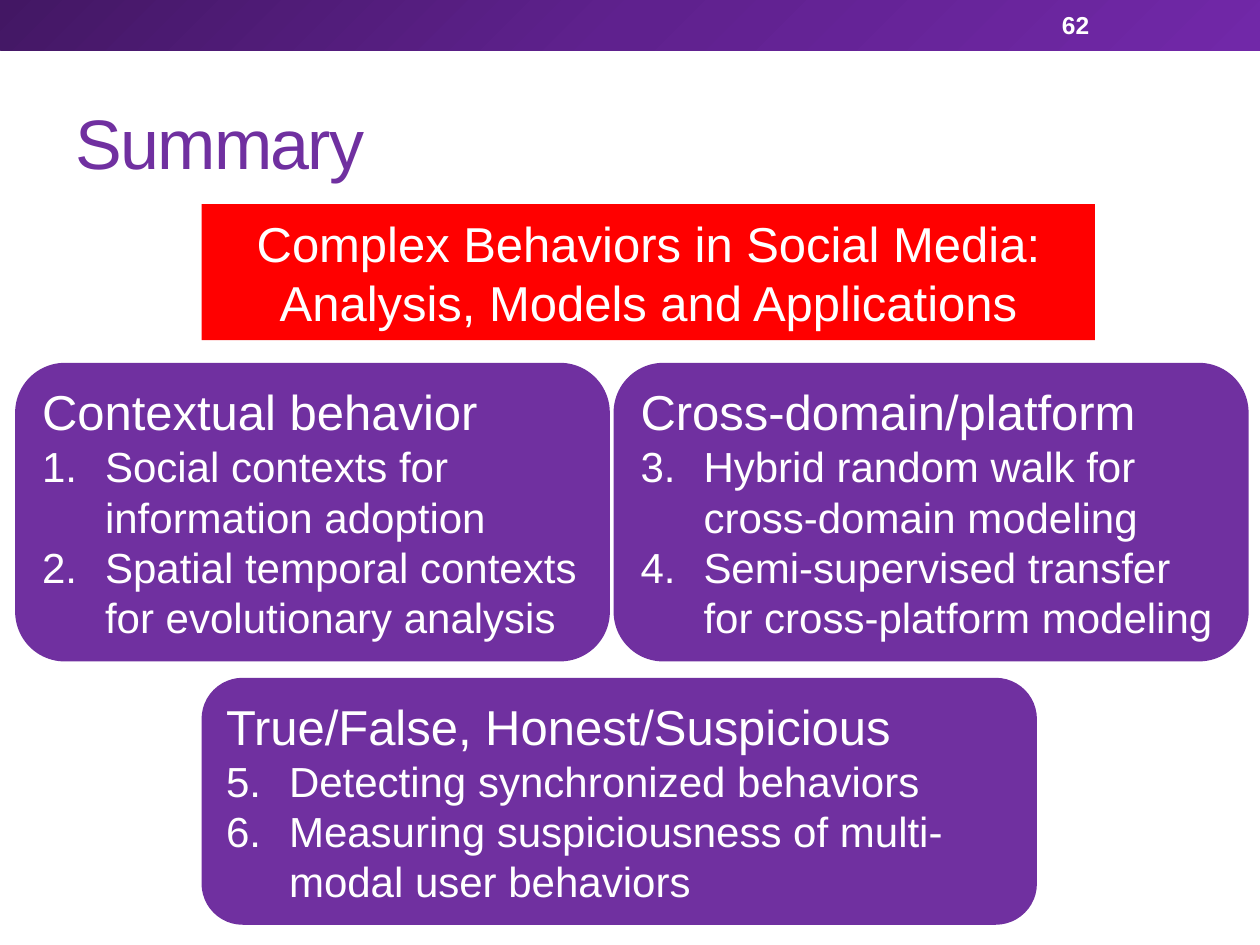
from copy import deepcopy

from lxml.etree import SubElement
from pptx import Presentation
from pptx.dml.color import RGBColor
from pptx.enum.shapes import MSO_SHAPE
from pptx.enum.text import MSO_ANCHOR, PP_ALIGN
from pptx.oxml.ns import qn
from pptx.util import Inches, Pt

THEME = {
    "font": "Arial",
    "purple": "7030A0",
    "red": "FF0000",
    "white": "FFFFFF",
    "band": [(0, "431764"), (0.5, "5F218E"), (1, "7128A8")],
    "title": 40,
    "heading": 28,
    "item": 24,
    "number": 14,
}

TITLE = "Summary"
PAGE_NUMBER = "62"
BANNER = ["Complex Behaviors in Social Media:", "Analysis, Models and Applications"]
BANNER_AREA = (1.6, 1.62, 7.09, 1.08)
TOPICS = [
    ("Contextual behavior", (0.12, 2.88, 4.72, 2.37), [
        "Social contexts for information adoption",
        "Spatial temporal contexts for evolutionary analysis",
    ]),
    ("Cross-domain/platform", (4.87, 2.88, 5.04, 2.37), [
        "Hybrid random walk for cross-domain modeling",
        "Semi-supervised transfer for cross-platform modeling",
    ]),
    ("True/False, Honest/Suspicious", (1.6, 5.38, 6.63, 1.96), [
        "Detecting synchronized behaviors",
        "Measuring suspiciousness of multi-modal user behaviors",
    ]),
]


def add_box(page, preset, area, color):
    box = page.shapes.add_shape(preset, *map(Inches, area))
    box.shadow.inherit = False
    box.line.fill.background()
    box.fill.solid()
    box.fill.fore_color.rgb = RGBColor.from_string(color)
    box.text_frame.word_wrap = True
    box.text_frame.vertical_anchor = MSO_ANCHOR.MIDDLE
    return box


def add_text(para, text, size, color, align=PP_ALIGN.LEFT, bold=False):
    para.alignment = align
    span = para.add_run()
    span.text = text
    span.font.name = THEME["font"]
    span.font.size = Pt(size)
    span.font.bold = bold
    span.font.color.rgb = RGBColor.from_string(color)
    return span


def number_paragraph(para, start):
    properties = para._p.get_or_add_pPr()
    properties.set("marL", str(Inches(0.5)))
    properties.set("indent", str(Inches(-0.5)))
    SubElement(properties, qn("a:buFont"), typeface=THEME["font"])
    SubElement(properties, qn("a:buAutoNum"), type="arabicPeriod", startAt=str(start))


def add_band(page):
    band = add_box(page, MSO_SHAPE.RECTANGLE, (0, 0, 10, 0.4), THEME["purple"])
    band.fill.gradient()
    band.fill.gradient_angle = 315
    first_stop = next(band._element.spPr.iter(qn("a:gs")))
    first_stop.addnext(deepcopy(first_stop))
    for stop, (position, color) in zip(band.fill.gradient_stops, THEME["band"]):
        stop.position = position
        stop.color.rgb = RGBColor.from_string(color)


def add_title(page):
    title = page.shapes.title
    title.left, title.top, title.width, title.height = map(Inches, (0.5, 0.58, 9, 1.08))
    title.text_frame.vertical_anchor = MSO_ANCHOR.MIDDLE
    span = add_text(title.text_frame.paragraphs[0], TITLE, THEME["title"], THEME["purple"])
    span.font._element.set("spc", "-100")


def add_page_number(page):
    box = page.shapes.add_textbox(*map(Inches, (8.33, 0.02, 1.17, 0.36)))
    box.text_frame.word_wrap = True
    box.text_frame.vertical_anchor = MSO_ANCHOR.MIDDLE
    add_text(box.text_frame.paragraphs[0], PAGE_NUMBER, THEME["number"], THEME["white"], bold=True)


def add_banner(page):
    frame = add_box(page, MSO_SHAPE.RECTANGLE, BANNER_AREA, THEME["red"]).text_frame
    for index, line in enumerate(BANNER):
        para = frame.add_paragraph() if index else frame.paragraphs[0]
        add_text(para, line, THEME["heading"], THEME["white"], PP_ALIGN.CENTER)


def add_topics(page):
    start = 1
    for heading, area, items in TOPICS:
        frame = add_box(page, MSO_SHAPE.ROUNDED_RECTANGLE, area, THEME["purple"]).text_frame
        add_text(frame.paragraphs[0], heading, THEME["heading"], THEME["white"])
        for item in items:
            para = frame.add_paragraph()
            number_paragraph(para, start)
            add_text(para, item, THEME["item"], THEME["white"])
        start += len(items)


def main():
    deck = Presentation()
    deck.slide_width, deck.slide_height = Inches(10), Inches(7.5)
    page = deck.slides.add_slide(deck.slide_layouts[5])
    add_band(page)
    add_title(page)
    add_page_number(page)
    add_banner(page)
    add_topics(page)
    deck.save("out.pptx")


if __name__ == "__main__":
    main()
